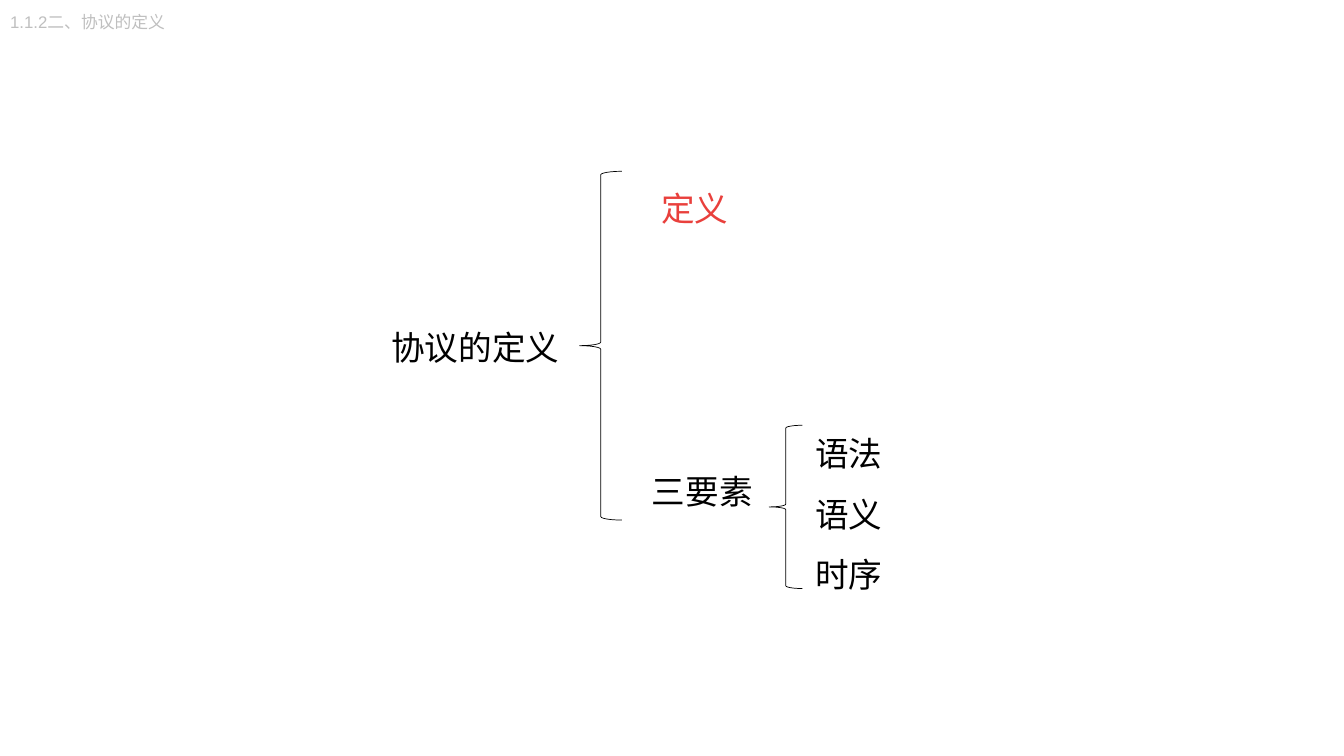
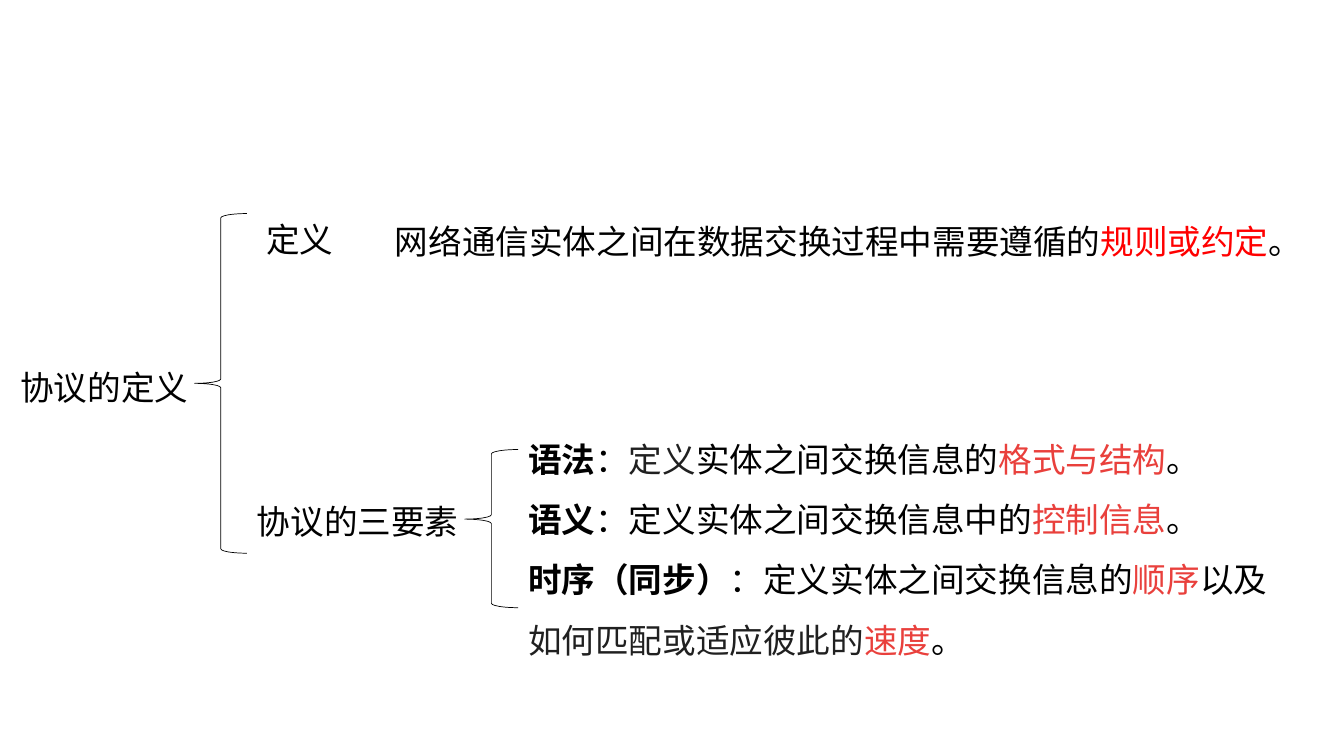
"""Build two outline slides on the definition of a protocol."""
from lxml import etree
from pptx import Presentation
from pptx.dml.color import RGBColor
from pptx.enum.shapes import MSO_SHAPE
from pptx.enum.text import MSO_ANCHOR, MSO_AUTO_SIZE, PP_ALIGN
from pptx.oxml.ns import qn
from pptx.util import Pt

COLORS = {"ink": "000000", "soft": "202020", "key": "E9403C",
          "red": "FF0000", "gray": "BFBFBF"}
LATIN, HAN = "Arial", "Noto Sans CJK SC"


def write(shape, area, lines, size=24, align=PP_ALIGN.LEFT, space=1.0, wrap=True):
    """Place a text shape and fill it with lines of (text, colour, bold) runs."""
    shape.left, shape.top, shape.width, shape.height = map(Pt, area)
    frame = shape.text_frame
    frame.auto_size = MSO_AUTO_SIZE.NONE
    frame.word_wrap = wrap
    frame.vertical_anchor = MSO_ANCHOR.TOP
    for i, line in enumerate(lines):
        para = frame.add_paragraph() if i else frame.paragraphs[0]
        para.alignment = align
        para.line_spacing = space
        para.space_before = Pt(0)
        for text, color, bold in line:
            run = para.add_run()
            run.text = text
            font = run.font
            font.size, font.bold, font.name = Pt(size), bold, LATIN
            font.color.rgb = RGBColor.from_string(COLORS[color])
            etree.SubElement(font._element, qn("a:ea"), typeface=HAN)


def brace(slide, area, tip=0.5):
    """Draw a thin left brace whose point sits at the given share of its height."""
    shape = slide.shapes.add_shape(MSO_SHAPE.LEFT_BRACE, *map(Pt, area))
    shape.shadow.inherit = False
    shape.fill.background()
    shape.line.color.rgb = RGBColor.from_string(COLORS["ink"])
    shape.line.width = Pt(0.5)
    shape.adjustments[1] = tip


deck = Presentation()
deck.slide_width, deck.slide_height = Pt(960), Pt(540)
layout = deck.slide_layouts[5]
root = [[("协议的定义", "ink", False)]]

first = deck.slides.add_slide(layout)
write(first.shapes.title, (0, 5, 130, 22),
      [[("1.1.2二、协议的定义", "gray", False)]], size=12, wrap=False)
brace(first, (414, 122.4, 30.2, 249.1))
brace(first, (549.4, 303.8, 23.8, 116.6))
write(first.shapes.add_textbox(0, 0, 0, 0), (265, 229.7, 149, 36), root,
      align=PP_ALIGN.CENTER)

second = deck.slides.add_slide(layout)
write(second.shapes.title, (0, 258.5, 149, 36), root, align=PP_ALIGN.CENTER)
brace(second, (139, 152.6, 37.4, 242.6))
brace(second, (331.9, 321.1, 38.2, 113), tip=0.44)

branches = [
    (first, (465.3, 131, 100, 36), "定义", "key"),
    (first, (458.6, 332.5, 100, 36), "三要素", "ink"),
    (second, (183, 152.6, 100, 36), "定义", "ink"),
    (second, (176.4, 354.5, 175, 36), "协议的三要素", "ink"),
]
for slide, area, text, color in branches:
    write(slide.shapes.add_textbox(0, 0, 0, 0), area, [[(text, color, False)]])

parts = [[(text, "ink", False)] for text in ("语法", "语义", "时序")]
meaning = [[("网络通信实体之间在数据交换过程中需要遵循的", "ink", False),
            ("规则或约定", "red", False), ("。", "ink", False)]]
details = [
    [("语法", "ink", True), ("：", "ink", False), ("定义", "soft", False),
     ("实体之间交换信息的", "ink", False), ("格式与结构", "key", False),
     ("。", "ink", False)],
    [("语义", "ink", True), ("：定义实体之间交换信息中的", "ink", False),
     ("控制信息", "key", False), ("。", "ink", False)],
    [("时序（同步）", "ink", True), ("：定义实体之间交换信息的", "ink", False),
     ("顺序", "key", False), ("以及", "ink", False),
     ("如何匹配或适应彼此的", "soft", False), ("速度", "key", False),
     ("。", "ink", False)],
]
notes = [
    (first, (575.3, 291.6, 89.3, 138.2), parts),
    (second, (275, 139.7, 645.1, 45.4), meaning),
    (second, (370.1, 295.2, 563, 181.4), details),
]
for slide, area, lines in notes:
    write(slide.shapes.add_textbox(0, 0, 0, 0), area, lines, space=1.5)

deck.save("out.pptx")
